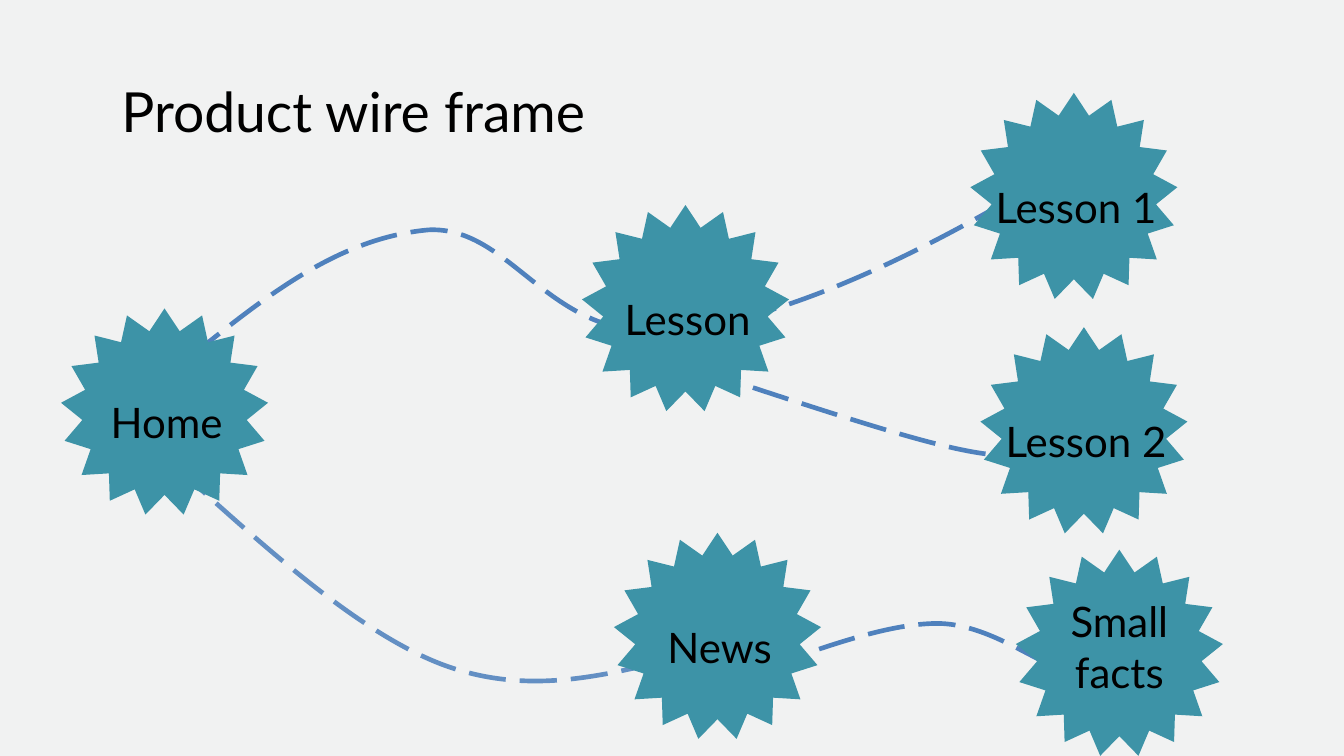
from dataclasses import dataclass
from math import cos, pi, sin

from lxml.etree import SubElement
from pptx import Presentation
from pptx.dml.color import RGBColor
from pptx.enum.dml import MSO_LINE_DASH_STYLE as Dash
from pptx.enum.text import PP_ALIGN as Align
from pptx.oxml.ns import qn
from pptx.shapes.autoshape import Shape
from pptx.slide import Slide
from pptx.util import Cm, Pt

PAPER = RGBColor(0xF1, 0xF2, 0xF2)
TEAL = RGBColor(0x3D, 0x93, 0xA7)
BLUE = RGBColor(0x4F, 0x81, 0xBD)
PALE = RGBColor(0x63, 0x8F, 0xC3)
BLACK = RGBColor(0, 0, 0)
FONT = "Lato"
SPIKES, OUTER, INNER = 17, 3.93, 3.12

Point = tuple[float, float]


@dataclass
class Node:
    label: str
    x: float
    y: float
    dx: float = 0.08
    rise: float = 1.6
    width: float = 8.23
    height: float = 2.21
    leading: float | None = 82.8


@dataclass
class Route:
    points: list[Point]
    color: RGBColor = BLUE


ROUTES = [
    Route([(29.13, 25.17), (31.39, 24.38), (33.66, 23.57), (35.43, 23.57),
           (37.21, 23.57), (38.96, 24.89), (39.83, 25.17),
           (40.72, 25.48), (40.67, 25.43), (40.64, 25.35)]),
    Route([(6.73, 17.73), (10.13, 20.8), (13.56, 23.9), (16.66, 25.1),
           (19.79, 26.29), (22.58, 25.6), (25.4, 24.92)], PALE),
    Route([(26.62, 14.05), (30, 15.16), (33.38, 16.28), (35.43, 16.79),
           (37.52, 17.32), (38.28, 17.25), (39.04, 17.15)]),
    Route([(7.19, 13.49), (10.13, 11.13), (12.83, 8.99), (16.21, 8.69),
           (19.33, 8.56), (20.68, 12.75), (25.02, 12.52),
           (28.68, 12.34), (33.48, 10.29), (38.38, 7.42)]),
]

NODES = [
    Node("Home", 6.22, 15.59),
    Node("Lesson", 25.91, 11.68),
    Node("Lesson 1", 40.59, 7.44),
    Node("Lesson 2", 40.97, 16.3),
    Node("News", 27.12, 24.07),
    Node("Small facts", 42.31, 24.71, 0, 2.18, 6.53, 3.84, None),
]


def add_form(slide: Slide, points: list[Point], close: bool) -> Shape:
    (x, y), *rest = [(Cm(a), Cm(b)) for a, b in points]
    pen = slide.shapes.build_freeform(x, y)
    pen.add_line_segments(rest, close=close)
    form = pen.convert_to_shape()
    form.shadow.inherit = False
    return form


def add_route(slide: Slide, route: Route) -> None:
    form = add_form(slide, route.points, False)
    trace = next(form._element.iter(qn("a:path")))
    steps = trace.findall(qn("a:lnTo"))
    for i in range(0, len(steps), 3):
        curve = SubElement(trace, qn("a:cubicBezTo"))
        for step in steps[i:i + 3]:
            curve.append(step[0])
            trace.remove(step)
    form.fill.background()
    form.line.color.rgb = route.color
    form.line.width = Pt(5)
    form.line.dash_style = Dash.LONG_DASH


def add_label(slide: Slide, text: str, left: float, top: float, width: float,
              height: float, size: float, leading: float | None) -> None:
    box = slide.shapes.add_textbox(Cm(left), Cm(top), Cm(width), Cm(height))
    frame = box.text_frame
    frame.word_wrap = True
    frame.margin_left = frame.margin_right = 0
    frame.margin_top = frame.margin_bottom = 0
    frame.text = text
    line = frame.paragraphs[0]
    line.alignment = Align.CENTER
    if leading:
        line.line_spacing = Pt(leading)
    font = line.runs[0].font
    font.name = FONT
    font.size = Pt(size)
    font.color.rgb = BLACK


def add_node(slide: Slide, node: Node) -> None:
    points = []
    for i in range(2 * SPIKES):
        angle = i * pi / SPIKES
        reach = INNER if i % 2 else OUTER
        points.append((node.x + reach * sin(angle), node.y - reach * cos(angle)))
    star = add_form(slide, points, True)
    star.fill.solid()
    star.fill.fore_color.rgb = TEAL
    star.line.fill.background()
    add_label(slide, node.label, node.x + node.dx - node.width / 2,
              node.y - node.rise, node.width, node.height, 45, node.leading)


def main() -> None:
    deck = Presentation()
    deck.slide_width, deck.slide_height = Cm(50.8), Cm(28.58)
    slide = deck.slides.add_slide(deck.slide_layouts[6])
    slide.background.fill.solid()
    slide.background.fill.fore_color.rgb = PAPER
    for route in ROUTES:
        add_route(slide, route)
    add_label(slide, "Product wire frame", 2.84, 2.49, 21.03, 2.84, 59.2, 82.8)
    for node in NODES:
        add_node(slide, node)
    deck.save("out.pptx")


if __name__ == "__main__":
    main()
